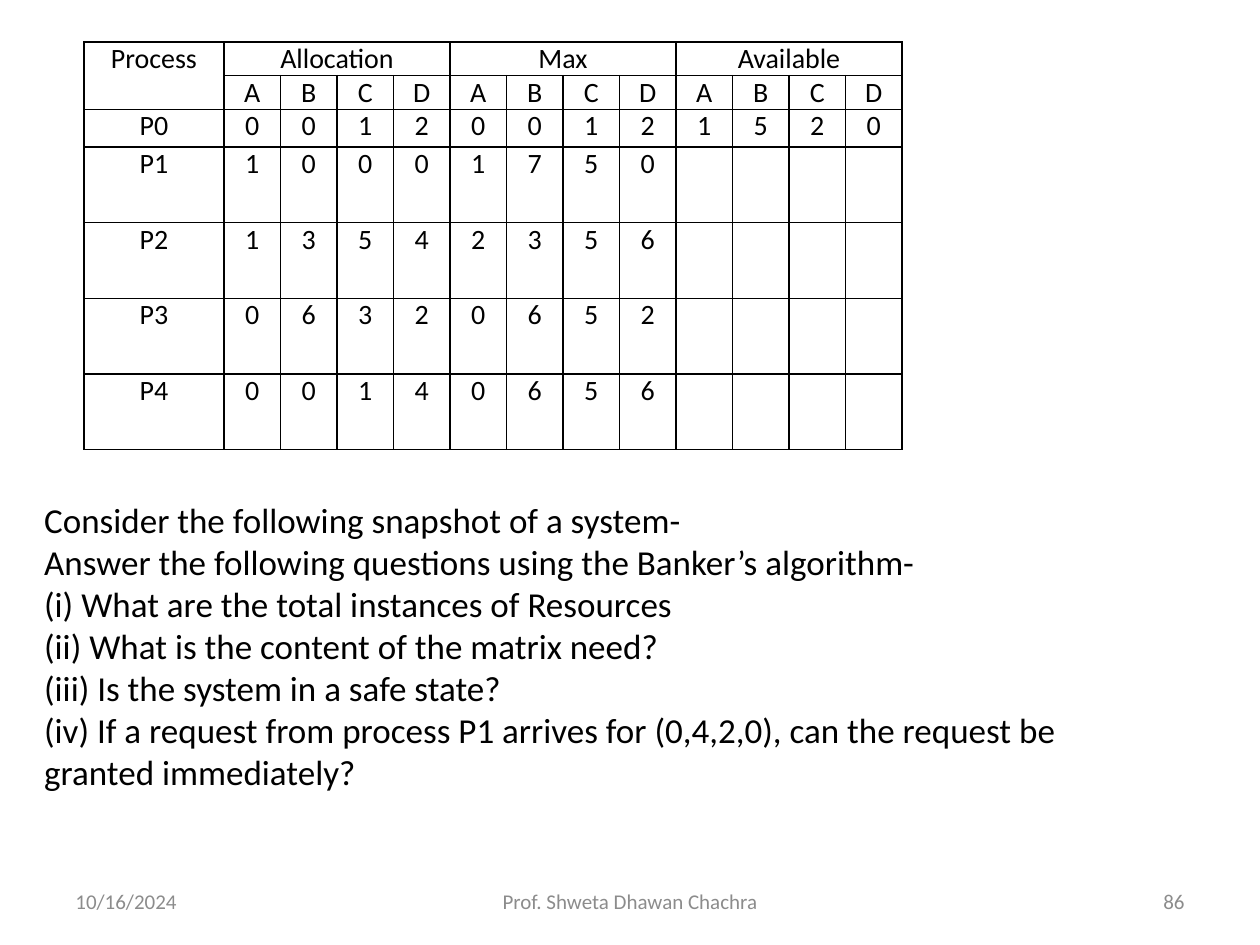
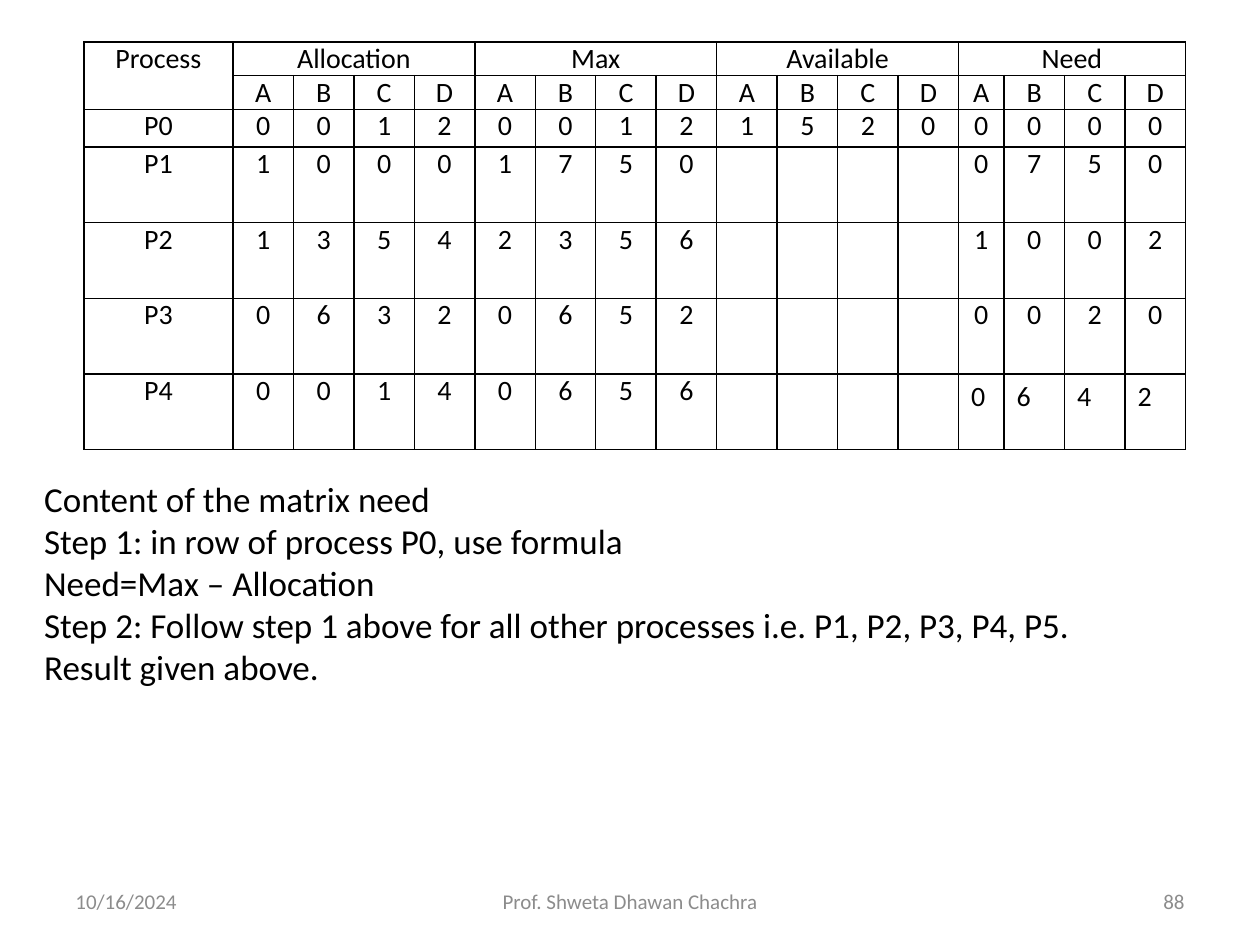
import pptx
import pptx.dml.color
import pptx.enum.text
import pptx.oxml
import pptx.oxml.ns
import pptx.util

Pt = pptx.util.Pt
Align = pptx.enum.text.PP_ALIGN
Anchor = pptx.enum.text.MSO_ANCHOR

BLACK = pptx.dml.color.RGBColor(0x00, 0x00, 0x00)
GREY = pptx.dml.color.RGBColor(0x8C, 0x8C, 0x8C)
FONT = "Calibri"
TITLE_LINE = 24
TITLE_INSET = 3.6
RESOURCES = "ABCD"
ROW_HEIGHTS = [19.2, 19.2, 21.6] + [43.2] * 4

ALLOCATION = ["0012", "1000", "1354", "0632", "0014"]
MAXIMUM = ["0012", "1750", "2356", "0652", "0656"]
AVAILABLE = ["1520"]
NEED = [
    "".join(str(int(most) - int(held)) for most, held in zip(*pair))
    for pair in zip(MAXIMUM, ALLOCATION)
]
SNAPSHOT = {"Allocation": ALLOCATION, "Max": MAXIMUM, "Available": AVAILABLE}

QUESTIONS = [
    "Consider the following snapshot of a system-",
    "Answer the following questions using the Banker’s algorithm-",
    "(i) What are the total instances of Resources",
    "(ii) What is the content of the matrix need?",
    "(iii) Is the system in a safe state?",
    "(iv) If a request from process P1 arrives for (0,4,2,0), "
    "can the request be granted immediately?",
]
NEED_STEPS = [
    "Content of the matrix need",
    "Step 1: in row of process P0, use formula",
    "Need=Max – Allocation",
    "Step 2: Follow step 1 above for all other processes i.e. P1, P2, P3, P4, P5.",
    "Result given above.",
]


def format_text(text_frame, size, color, align):
    for paragraph in text_frame.paragraphs:
        paragraph.alignment = align
        for span in paragraph.runs:
            span.font.name = FONT
            span.font.size = Pt(size)
            span.font.color.rgb = color


def place(shape, box):
    shape.left, shape.top, shape.width, shape.height = (Pt(length) for length in box)


def add_title(page, box, lines, lines_above=0, lines_below=0):
    title = page.shapes.title
    place(title, box)
    frame = title.text_frame
    frame.text = "\n".join(lines)
    frame.word_wrap = True
    frame.auto_size = pptx.enum.text.MSO_AUTO_SIZE.NONE
    frame.vertical_anchor = Anchor.MIDDLE
    frame.margin_top = Pt(TITLE_INSET + lines_above * TITLE_LINE)
    frame.margin_bottom = Pt(TITLE_INSET + lines_below * TITLE_LINE)
    format_text(frame, 20, BLACK, Align.LEFT)


def set_borders(cell):
    properties = cell._tc.get_or_add_tcPr()
    for side in ("lnL", "lnR", "lnT", "lnB"):
        properties.append(pptx.oxml.parse_xml(
            f'<a:{side} {pptx.oxml.ns.nsdecls("a")} w="{Pt(1)}">'
            f'<a:solidFill><a:srgbClr val="{BLACK}"/></a:solidFill></a:{side}>'
        ))


def fill_cell(cell, text, align=Align.CENTER):
    cell.text = text
    format_text(cell.text_frame, 16, BLACK, align)


def set_cell_insets(cell, side, end):
    cell.margin_left = cell.margin_right = Pt(side)
    cell.margin_top = cell.margin_bottom = Pt(end)


def add_process_table(page, left, top, widths, groups):
    frame = page.shapes.add_table(
        len(ROW_HEIGHTS), len(widths),
        Pt(left), Pt(top), Pt(sum(widths)), Pt(sum(ROW_HEIGHTS)),
    )
    table = frame.table
    table.first_row = table.horz_banding = False
    for column, width in zip(table.columns, widths):
        column.width = Pt(width)
    for row, height in zip(table.rows, ROW_HEIGHTS):
        row.height = Pt(height)
    for cell in table.iter_cells():
        set_borders(cell)
        cell.fill.background()
        set_cell_insets(cell, 5, 0)

    fill_cell(table.cell(0, 0), "Process")
    table.cell(0, 0).merge(table.cell(1, 0))
    for number in range(len(ALLOCATION)):
        fill_cell(table.cell(number + 2, 0), f"P{number}")
    for group, (heading, values) in enumerate(groups.items()):
        first = 1 + group * len(RESOURCES)
        fill_cell(table.cell(0, first), heading)
        table.cell(0, first).merge(table.cell(0, first + len(RESOURCES) - 1))
        for row, letters in enumerate([RESOURCES] + values, start=1):
            for column, letter in enumerate(letters, start=first):
                fill_cell(table.cell(row, column), letter)
    return table


def loosen_last_need_row(table):
    for cell in list(table.rows[len(ROW_HEIGHTS) - 1].cells)[-len(RESOURCES):]:
        set_cell_insets(cell, 7.2, 3.6)
        format_text(cell.text_frame, 16, BLACK, Align.LEFT)


def add_footer(page, top, height, number):
    parts = [
        (36, 168, "10/16/2024", Align.LEFT),
        (246, 228, "Prof. Shweta Dhawan Chachra", Align.CENTER),
        (516, 168, str(number), Align.RIGHT),
    ]
    for left, width, text, align in parts:
        box = page.shapes.add_textbox(Pt(left), Pt(top), Pt(width), Pt(height))
        box.text_frame.text = text
        box.text_frame.word_wrap = True
        box.text_frame.vertical_anchor = Anchor.MIDDLE
        format_text(box.text_frame, 12, GREY, align)


def add_page(deck, number):
    page = deck.slides.add_slide(deck.slide_layouts[5])
    add_footer(page, 500.5, 28.75, number)
    return page


def build_question_page(deck):
    page = add_page(deck, 86)
    add_title(page, (18, 336, 648, 90), QUESTIONS, lines_below=1)
    add_process_table(page, 48, 24, [80] + [32.3] * 12, SNAPSHOT)


def build_need_page(deck):
    page = add_page(deck, 88)
    add_title(page, (18, 276, 648, 90), NEED_STEPS, lines_above=1)
    widths = [85.1] + [34.57] * 12 + [26] + [34.57] * 3
    table = add_process_table(page, 48, 24, widths, {**SNAPSHOT, "Need": NEED})
    loosen_last_need_row(table)


def main():
    deck = pptx.Presentation()
    deck.slide_width, deck.slide_height = Pt(720), Pt(540)
    build_question_page(deck)
    build_need_page(deck)
    deck.save("out.pptx")


if __name__ == "__main__":
    main()
